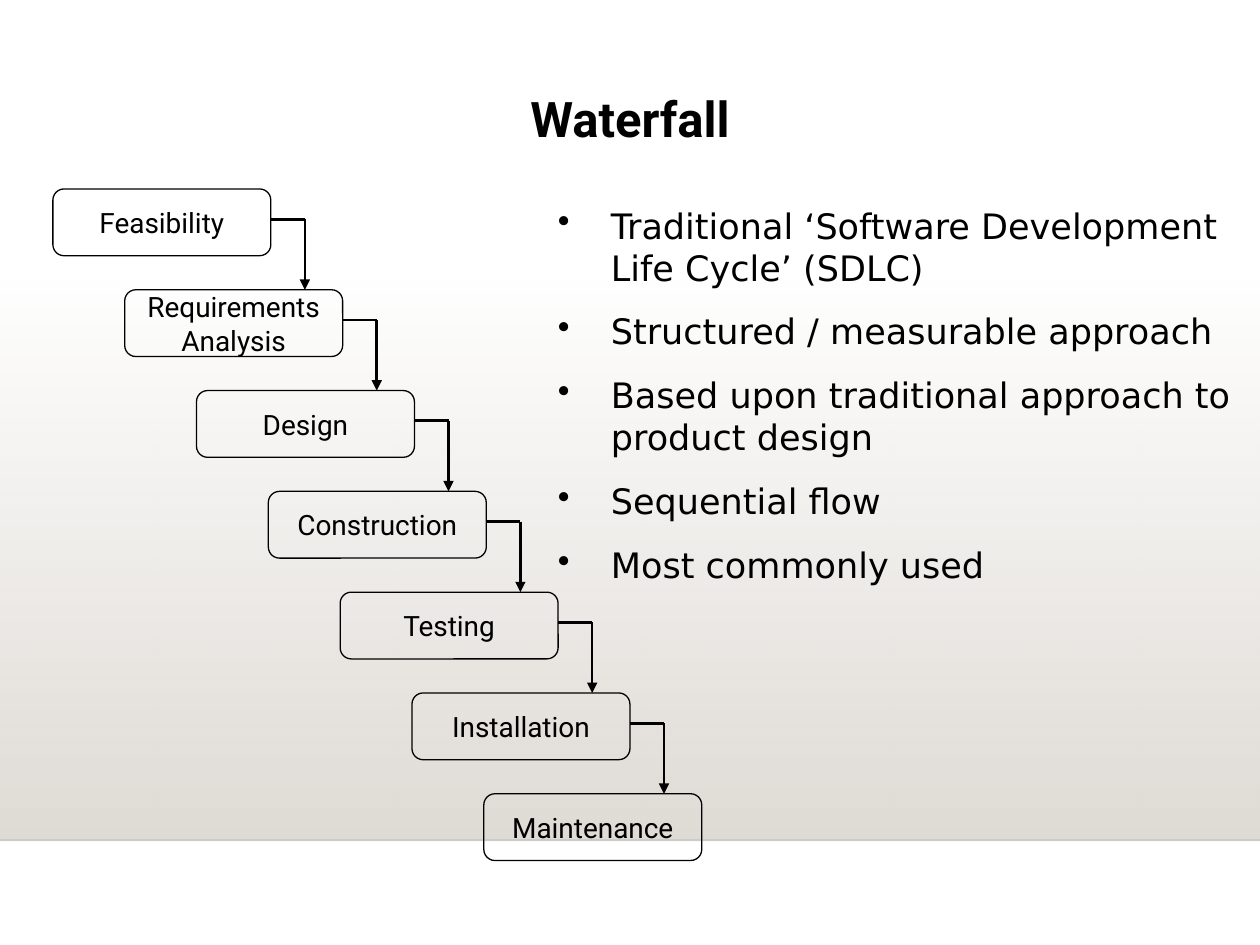
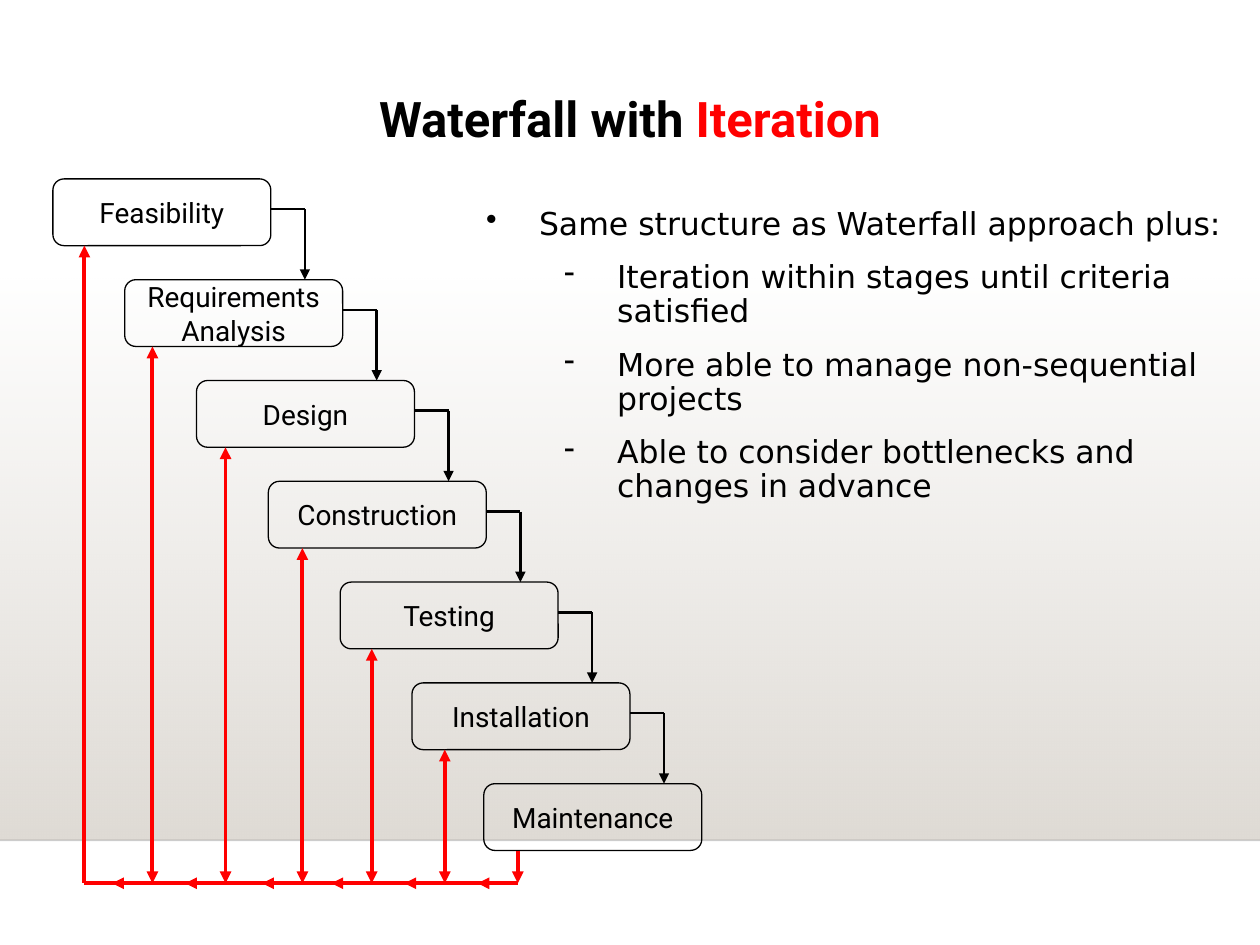
from itertools import pairwise

from lxml.etree import SubElement
from pptx import Presentation
from pptx.dml.color import RGBColor
from pptx.enum.shapes import MSO_CONNECTOR, MSO_SHAPE
from pptx.enum.text import MSO_ANCHOR, MSO_AUTO_SIZE, PP_ALIGN
from pptx.oxml.ns import qn
from pptx.util import Inches, Pt

STAGES = ["Feasibility", "Requirements\nAnalysis", "Design", "Construction",
          "Testing", "Installation", "Maintenance"]

# Each bullet is (level, text).
SLIDES = [
    {
        "title": [("Waterfall", "000000")],
        "stages_top": 1.5,
        "bullets_box": (4.33, 1.57, 5.58, 3.69),
        "bullet_size": 20,
        "bullet_gap": 12.5,
        "bullets": [
            (0, "Traditional ‘Software Development Life Cycle’ (SDLC)"),
            (0, "Structured / measurable approach"),
            (0, "Based upon traditional approach to product design"),
            (0, "Sequential flow"),
            (0, "Most commonly used"),
        ],
        "feedback": [],
    },
    {
        "title": [("Waterfall with ", "000000"), ("Iteration", "FF0000")],
        "stages_top": 1.42,
        "bullets_box": (3.76, 1.57, 6.24, 3.49),
        "bullet_size": 18,
        "bullet_gap": 11.2,
        "bullets": [
            (0, "Same structure as Waterfall approach plus:"),
            (1, "Iteration within stages until criteria satisfied"),
            (1, "More able to manage non-sequential projects"),
            (1, "Able to consider bottlenecks and changes in advance"),
        ],
        # Horizontal place of the feedback line under each stage
        "feedback": [0.67, 1.21, 1.79, 2.4, 2.95, 3.53, 4.11],
    },
]

BLACK, RED, BAND = "000000", "FF0000", "DFDBD5"
HEADING_FONT, BODY_FONT = "Roboto", "DejaVu Sans"

STAGE_LEFT, STAGE_WIDTH, STAGE_HEIGHT = 0.42, 1.73, 0.53
STEP_RIGHT, STEP_DOWN = 0.57, 0.8
ELBOW_DROP, ELBOW_REACH = 0.24, 0.27
FEEDBACK_Y, FEEDBACK_ARROW = 7.01, 0.32

BULLET_STYLES = [  # character, left margin, line spacing
    ("•", 0.42, 1.0),
    ("-", 1.04, 0.9),
]
BULLET_HANG = 0.42


def rgb(value):
    return RGBColor.from_string(value)


def set_font(font, name, size, bold=False):
    font.name, font.size, font.bold = name, Pt(size), bold
    font.color.rgb = rgb(BLACK)


def set_alpha(color_element, percent):
    SubElement(color_element, qn("a:alpha")).set("val", str(percent * 1000))


def add_line(slide, start, end, color=BLACK, width=1.5, head=False, tail=False):
    """Draw a straight line; head and tail put arrowheads at start and end."""
    line = slide.shapes.add_connector(
        MSO_CONNECTOR.STRAIGHT, *map(Inches, (*start, *end)))
    line.line.color.rgb = rgb(color)
    line.line.width = Pt(width)
    properties = line.element.spPr
    for tag, wanted in (("a:headEnd", head), ("a:tailEnd", tail)):
        if wanted:
            SubElement(properties.find(qn("a:ln")), qn(tag)).set("type", "triangle")
    SubElement(properties, qn("a:effectLst"))
    return line


def add_background(slide, layout):
    """Build the fading band and its base line, and move them to the layout."""
    band = slide.shapes.add_shape(
        MSO_SHAPE.RECTANGLE, *map(Inches, (0, 2.2, 10, 4.46)))
    band.shadow.inherit = False
    band.line.fill.background()
    band.fill.gradient()
    band.fill.gradient_angle = 270
    for stop, position in zip(band.fill.gradient_stops, (0, 1)):
        stop.color.rgb = rgb(BAND)
        stop.position = position
    set_alpha(next(band.element.iter(qn("a:srgbClr"))), 0)

    base_line = add_line(slide, (0, 6.67), (10, 6.67), "000001", 1)
    set_alpha(next(base_line.element.iter(qn("a:srgbClr"))), 20)
    for index, shape in enumerate((band, base_line), start=2):
        layout.shapes.element.insert(index, shape.element)


def add_title(slide, runs):
    title = slide.shapes.title
    title.left, title.top, title.width, title.height = map(
        Inches, (0, 0.58, 10, 0.71))
    frame = title.text_frame
    frame.auto_size = MSO_AUTO_SIZE.NONE
    frame.word_wrap = False
    frame.vertical_anchor = MSO_ANCHOR.MIDDLE
    paragraph = frame.paragraphs[0]
    paragraph.alignment = PP_ALIGN.CENTER
    set_font(paragraph.font, HEADING_FONT, 28, bold=True)
    for text, color in runs:
        run = paragraph.add_run()
        run.text = text
        run.font.color.rgb = rgb(color)


def add_stage(slide, name, left, top):
    stage = slide.shapes.add_shape(
        MSO_SHAPE.ROUNDED_RECTANGLE,
        *map(Inches, (left, top, STAGE_WIDTH, STAGE_HEIGHT)))
    stage.shadow.inherit = False
    stage.fill.background()
    stage.line.color.rgb = rgb(BLACK)
    stage.line.width = Pt(0.75)
    frame = stage.text_frame
    frame.word_wrap = False
    frame.vertical_anchor = MSO_ANCHOR.MIDDLE
    paragraph = frame.paragraphs[0]
    paragraph.text = name
    paragraph.alignment = PP_ALIGN.CENTER
    set_font(paragraph.font, HEADING_FONT, 16)


def add_waterfall(slide, first_top):
    corners = [(STAGE_LEFT + STEP_RIGHT * i, first_top + STEP_DOWN * i)
               for i in range(len(STAGES))]
    for name, (left, top) in zip(STAGES, corners):
        add_stage(slide, name, left, top)
    for (left, top), (_, next_top) in pairwise(corners):
        right, elbow_y = left + STAGE_WIDTH, top + ELBOW_DROP
        elbow = (right + ELBOW_REACH, elbow_y)
        add_line(slide, (right, elbow_y), elbow)
        add_line(slide, elbow, (elbow[0], next_top), tail=True)


def add_feedback(slide, places, first_top):
    """Draw the line that leads from the last stage back to all earlier ones."""
    last = len(places) - 1
    add_line(slide, (places[0], FEEDBACK_Y), (places[-1], FEEDBACK_Y), RED, 2.25)
    for i, x in enumerate(places):
        stage_bottom = first_top + STEP_DOWN * i + STAGE_HEIGHT
        add_line(slide, (x, stage_bottom), (x, FEEDBACK_Y), RED, 2.25,
                 head=i < last, tail=i > 0)
        if i > 0:
            add_line(slide, (x, FEEDBACK_Y), (x - FEEDBACK_ARROW, FEEDBACK_Y),
                     RED, 2.25, tail=True)


def add_bullets(slide, bullets, box, size, gap):
    frame = slide.shapes.add_textbox(*map(Inches, box)).text_frame
    frame.word_wrap = True
    for i, (level, text) in enumerate(bullets):
        paragraph = frame.add_paragraph() if i else frame.paragraphs[0]
        character, margin, spacing = BULLET_STYLES[level]
        paragraph.text = text
        paragraph.level = level
        paragraph.line_spacing = spacing
        paragraph.space_before = Pt(gap)
        set_font(paragraph.font, BODY_FONT, size)
        properties = paragraph._p.get_or_add_pPr()
        properties.set("marL", str(Inches(margin)))
        properties.set("indent", str(-Inches(BULLET_HANG)))
        bullet = properties.makeelement(qn("a:buChar"), {"char": character})
        properties.find(qn("a:defRPr")).addprevious(bullet)


def main():
    presentation = Presentation()
    presentation.slide_width, presentation.slide_height = Inches(10), Inches(7.5)
    layout = presentation.slide_layouts.get_by_name("Title Only")
    for number, content in enumerate(SLIDES):
        slide = presentation.slides.add_slide(layout)
        if number == 0:
            add_background(slide, layout)
        add_title(slide, content["title"])
        add_waterfall(slide, content["stages_top"])
        if content["feedback"]:
            add_feedback(slide, content["feedback"], content["stages_top"])
        add_bullets(slide, content["bullets"], content["bullets_box"],
                    content["bullet_size"], content["bullet_gap"])
    presentation.save("out.pptx")


if __name__ == "__main__":
    main()
